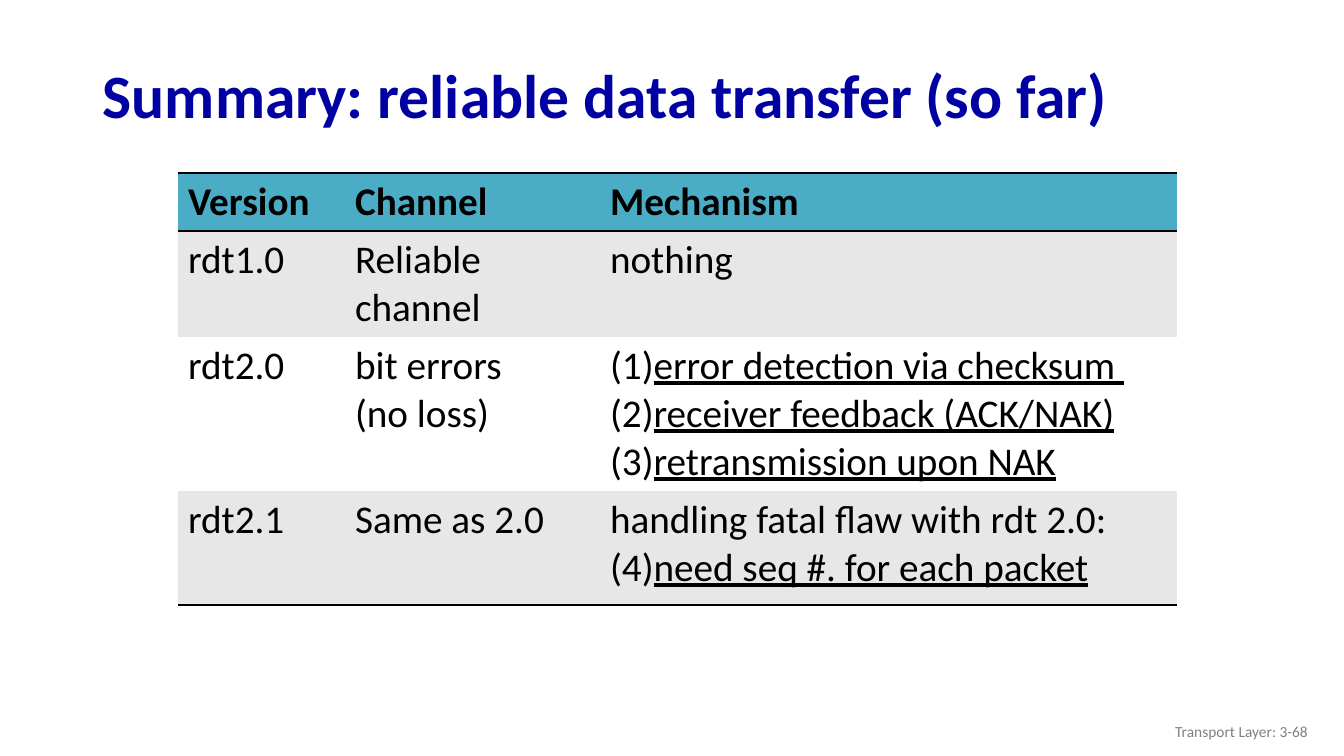
import pptx
import pptx.dml.color
import pptx.enum.text
import pptx.oxml
import pptx.oxml.ns
import pptx.util
import lxml.etree

EMU_PER_PX = 914400 / 100.8
BLACK = "000000"
HEADER_FILL = "4BACC6"
BAND_FILLS = ["E7E7E7", "FFFFFF"]

COLUMN_WIDTHS = [167, 255, 577]
ROW_HEIGHTS = [58, 106, 154, 114]
RULED_EDGES = [("T", "B"), ("T",), (), ("B",)]
MECHANISMS = [
    ["error detection via checksum ", "receiver feedback (ACK/NAK)", "retransmission upon NAK"],
    "need seq #. for each packet",
]


def plain(*lines):
    return [{"runs": [(line, False)]} for line in lines]


def numbered(lines):
    return [{"runs": [(line, True)], "numbered": True} for line in lines]


ROWS = [
    [plain("Version"), plain("Channel"), plain("Mechanism")],
    [plain("rdt1.0"), plain("Reliable channel"), plain("nothing")],
    [plain("rdt2.0"), plain("bit errors", "(no loss)"), numbered(MECHANISMS[0])],
    [
        plain("rdt2.1"),
        plain("Same as 2.0"),
        plain("handling fatal flaw with rdt 2.0:") + [{"runs": [("(4)", False), (MECHANISMS[1], True)]}],
    ],
]


def px(length):
    return pptx.util.Emu(round(length * EMU_PER_PX))


def color(value):
    return pptx.dml.color.RGBColor.from_string(value)


class SlideWriter:
    font = "Calibri"

    def __init__(self, presentation):
        self.slide = presentation.slides.add_slide(presentation.slide_layouts[6])

    def run(self, paragraph, text, size, fill, bold=False, underline=False):
        run = paragraph.add_run()
        run.text = text
        run.font.name = self.font
        run.font.size = pptx.util.Pt(size)
        run.font.color.rgb = color(fill)
        run.font.bold = bold
        run.font.underline = underline

    def text(self, box, text, size, fill, align, bold=False, spacing=1.0):
        shape = self.slide.shapes.add_textbox(*map(px, box))
        frame = shape.text_frame
        frame.word_wrap = True
        frame.vertical_anchor = pptx.enum.text.MSO_ANCHOR.MIDDLE
        paragraph = frame.paragraphs[0]
        paragraph.alignment = align
        paragraph.line_spacing = spacing
        self.run(paragraph, text, size, fill, bold)

    def number(self, paragraph):
        properties = paragraph._p.get_or_add_pPr()
        properties.set("marL", str(px(38)))
        properties.set("indent", str(-px(38)))
        bullet = lxml.etree.SubElement(properties, pptx.oxml.ns.qn("a:buAutoNum"))
        bullet.set("type", "arabicParenBoth")

    def borders(self, cell, ruled):
        properties = cell._tc.get_or_add_tcPr()
        for edge in "LRTB":
            line = lxml.etree.SubElement(properties, pptx.oxml.ns.qn("a:ln" + edge))
            if edge in ruled:
                line.set("w", str(pptx.util.Pt(2)))
                solid = lxml.etree.SubElement(line, pptx.oxml.ns.qn("a:solidFill"))
                lxml.etree.SubElement(solid, pptx.oxml.ns.qn("a:srgbClr")).set("val", BLACK)
            else:
                lxml.etree.SubElement(line, pptx.oxml.ns.qn("a:noFill"))

    def cell(self, cell, content, fill, ruled, bold):
        self.borders(cell, ruled)
        cell.fill.solid()
        cell.fill.fore_color.rgb = color(fill)
        frame = cell.text_frame
        for index, item in enumerate(content):
            paragraph = frame.add_paragraph() if index else frame.paragraphs[0]
            if item.get("numbered"):
                self.number(paragraph)
            for text, underline in item["runs"]:
                self.run(paragraph, text, 28, BLACK, bold, underline)

    def table(self, left, top):
        box = (left, top, sum(COLUMN_WIDTHS), sum(ROW_HEIGHTS))
        table = self.slide.shapes.add_table(len(ROWS), len(COLUMN_WIDTHS), *map(px, box)).table
        table.first_row = False
        table.horz_banding = False
        for column, width in zip(table.columns, COLUMN_WIDTHS):
            column.width = px(width)
        for index, (row, height) in enumerate(zip(table.rows, ROW_HEIGHTS)):
            row.height = px(height)
            fill = BAND_FILLS[(index - 1) % 2] if index else HEADER_FILL
            for cell, content in zip(row.cells, ROWS[index]):
                self.cell(cell, content, fill, RULED_EDGES[index], index == 0)


def main():
    presentation = pptx.Presentation()
    presentation.slide_width = px(1344)
    presentation.slide_height = px(756)
    writer = SlideWriter(presentation)
    align = pptx.enum.text.PP_ALIGN
    writer.table(178, 173)
    writer.text((1016, 711, 302, 40), "Transport Layer: 3-68", 11, "808080", align.RIGHT)
    writer.text((93, 49, 1159, 99), "Summary: reliable data transfer (so far)", 44, "0000A3",
                align.LEFT, bold=True, spacing=0.9)
    presentation.save("out.pptx")


if __name__ == "__main__":
    main()
